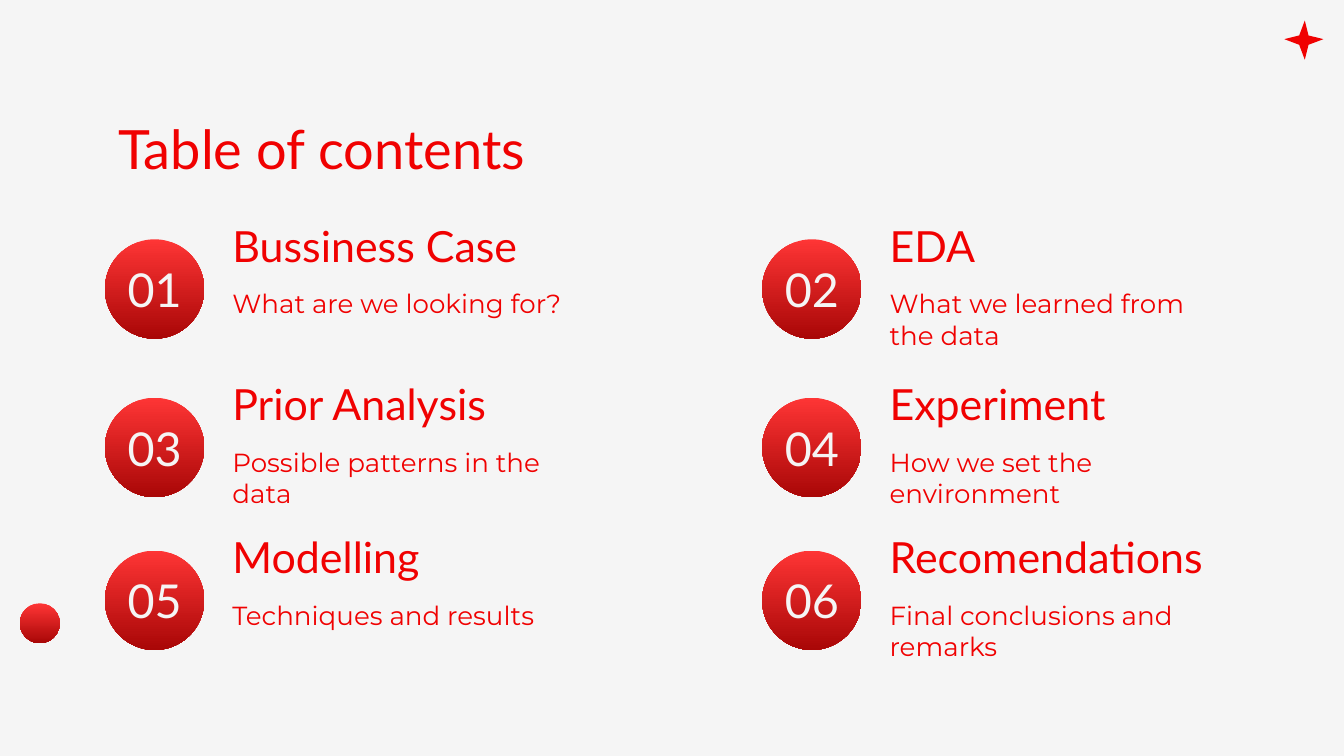
from dataclasses import dataclass

import pptx
import pptx.dml.color
import pptx.enum.shapes
import pptx.enum.text
import pptx.shapes.autoshape
import pptx.slide
import pptx.util

Pt = pptx.util.Pt
RGBColor = pptx.dml.color.RGBColor
PP_ALIGN = pptx.enum.text.PP_ALIGN
MSO_ANCHOR = pptx.enum.text.MSO_ANCHOR


@dataclass(frozen=True)
class TextStyle:
    font: str
    size: float
    color: RGBColor
    align: PP_ALIGN = PP_ALIGN.LEFT
    anchor: MSO_ANCHOR = MSO_ANCHOR.TOP


@dataclass(frozen=True)
class Theme:
    background: RGBColor = RGBColor(0xF5, 0xF5, 0xF5)
    accent: RGBColor = RGBColor(0xF0, 0x01, 0x01)
    gradient_top: RGBColor = RGBColor(0xFE, 0x35, 0x35)
    gradient_bottom: RGBColor = RGBColor(0xA9, 0x07, 0x07)
    title: TextStyle = TextStyle("Lato", 29, accent)
    heading: TextStyle = TextStyle("Lato", 23, accent)
    number: TextStyle = TextStyle("Lato", 25, background, PP_ALIGN.CENTER, MSO_ANCHOR.MIDDLE)
    body: TextStyle = TextStyle("Montserrat", 14, accent)


@dataclass(frozen=True)
class Box:
    left: float
    top: float
    width: float
    height: float

    def lengths(self) -> tuple[pptx.util.Length, ...]:
        return Pt(self.left), Pt(self.top), Pt(self.width), Pt(self.height)


@dataclass(frozen=True)
class Topic:
    heading: str
    body: str


THEME = Theme()
COLUMN_LEFTS = (56.2, 408.3)
ROW_TOPS = (128.2, 213.1, 295)
CIRCLE_SIZE = 53.2
LINE_HEIGHT = 36.8
TOPICS = (
    Topic("Bussiness Case", "What are we looking for?"),
    Topic("EDA", "What we learned from the data"),
    Topic("Prior Analysis", "Possible patterns in the data"),
    Topic("Experiment", "How we set the environment"),
    Topic("Modelling", "Techniques and results"),
    Topic("Recomendations", "Final conclusions and remarks"),
)


def add_text(slide: pptx.slide.Slide, box: Box, text: str, style: TextStyle) -> None:
    frame = slide.shapes.add_textbox(*box.lengths()).text_frame
    frame.word_wrap = True
    frame.vertical_anchor = style.anchor
    frame.margin_left = frame.margin_right = Pt(7.2)
    frame.margin_top = frame.margin_bottom = Pt(7.2)
    paragraph = frame.paragraphs[0]
    paragraph.text = text
    paragraph.alignment = style.align
    paragraph.font.name = style.font
    paragraph.font.size = Pt(style.size)
    paragraph.font.color.rgb = style.color


def add_ball(slide: pptx.slide.Slide, left: float, top: float, size: float) -> None:
    """Add a circle that darkens from top to bottom."""
    ball = slide.shapes.add_shape(
        pptx.enum.shapes.MSO_SHAPE.OVAL, *Box(left, top, size, size).lengths()
    )
    ball.shadow.inherit = False
    ball.line.fill.background()
    ball.fill.gradient()
    ball.fill.gradient_angle = 270
    for stop, color in zip(ball.fill.gradient_stops, (THEME.gradient_top, THEME.gradient_bottom)):
        stop.color.rgb = color


def add_sparkle(
    slide: pptx.slide.Slide, center_x: float, center_y: float, reach: float, notch: float
) -> None:
    """Add a four-pointed star; notch is the offset of its inner corners."""
    offsets = (
        (0, -reach), (-notch, -notch), (-reach, 0), (-notch, notch),
        (0, reach), (notch, notch), (reach, 0), (notch, -notch),
    )
    points = [(center_x + x, center_y + y) for x, y in offsets]
    builder = slide.shapes.build_freeform(*points[0], scale=float(Pt(1)))
    builder.add_line_segments(points[1:], close=True)
    sparkle = builder.convert_to_shape()
    sparkle.shadow.inherit = False
    sparkle.line.fill.background()
    sparkle.fill.solid()
    sparkle.fill.fore_color.rgb = THEME.accent


def add_topic(
    slide: pptx.slide.Slide, left: float, top: float, number: int, topic: Topic
) -> None:
    text_left, text_width = left + 61.2, 194.4
    heading_top = top - 18
    number_top = top + (CIRCLE_SIZE - LINE_HEIGHT) / 2
    add_ball(slide, left, top, CIRCLE_SIZE)
    add_text(slide, Box(left, number_top, CIRCLE_SIZE, LINE_HEIGHT), f"{number:02}", THEME.number)
    add_text(slide, Box(text_left, heading_top, text_width, LINE_HEIGHT), topic.heading, THEME.heading)
    add_text(slide, Box(text_left, heading_top + LINE_HEIGHT, text_width, 44.6), topic.body, THEME.body)


def main() -> None:
    presentation = pptx.Presentation()
    presentation.slide_width, presentation.slide_height = Pt(720), Pt(405)
    slide = presentation.slides.add_slide(presentation.slide_layouts[6])
    slide.background.fill.solid()
    slide.background.fill.fore_color.rgb = THEME.background

    add_ball(slide, left=10.6, top=323.2, size=21.4)
    add_sparkle(slide, center_x=698.7, center_y=21.3, reach=10.6, notch=2.3)
    add_text(slide, Box(COLUMN_LEFTS[0], 54.7, 607.7, LINE_HEIGHT), "Table of contents", THEME.title)
    for index, topic in enumerate(TOPICS):
        row, column = divmod(index, len(COLUMN_LEFTS))
        add_topic(slide, COLUMN_LEFTS[column], ROW_TOPS[row], index + 1, topic)

    presentation.save("out.pptx")


if __name__ == "__main__":
    main()
